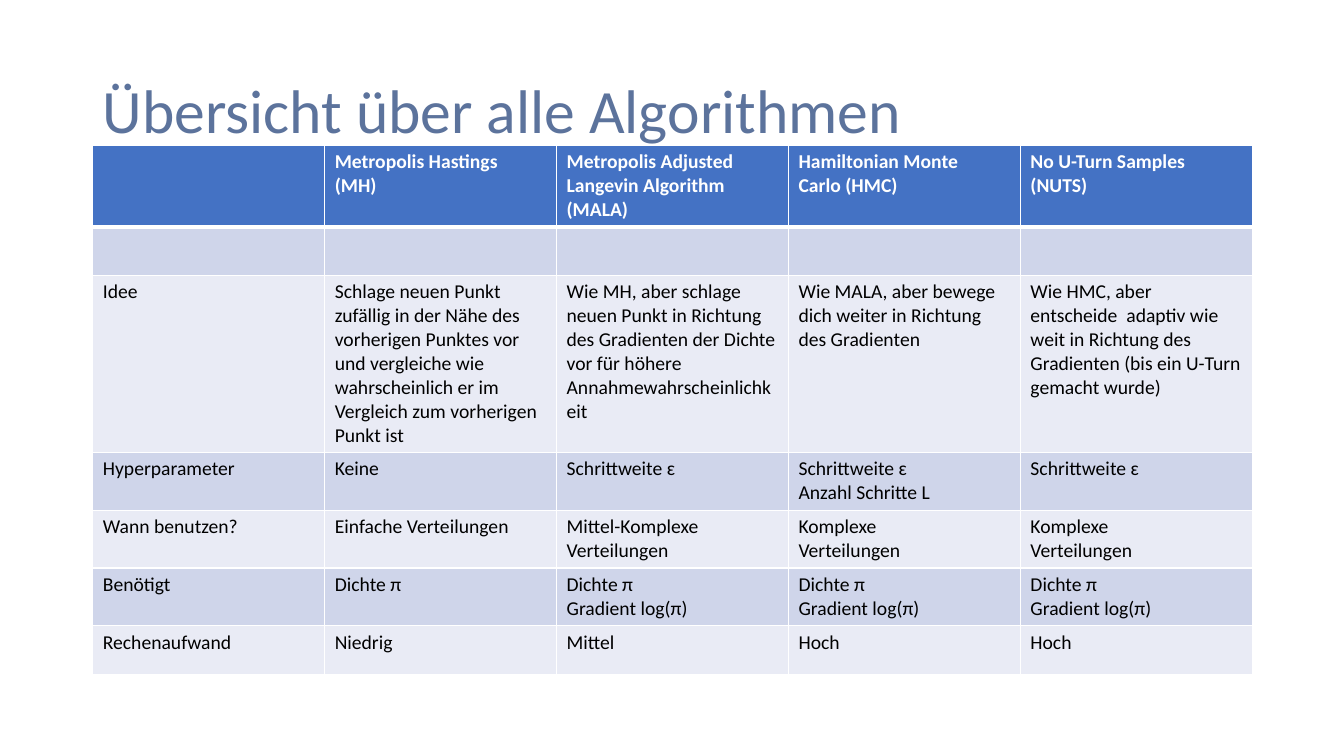
from dataclasses import dataclass

from lxml import etree
from pptx import Presentation
from pptx.dml.color import RGBColor
from pptx.enum.text import MSO_ANCHOR, MSO_AUTO_SIZE, PP_ALIGN
from pptx.oxml.ns import qn
from pptx.table import _Cell
from pptx.text.text import TextFrame
from pptx.util import Inches, Pt

LEFT = PP_ALIGN.LEFT
MIDDLE = MSO_ANCHOR.MIDDLE
NO_FIT = MSO_AUTO_SIZE.NONE

COLUMN, ROW = 2.3, 0.48
FONT = "Calibri"
HEADER_FILL, DARK_BAND, LIGHT_BAND = "4472C4", "CFD5EA", "E9EBF5"
WHITE, BLACK, TITLE_COLOUR = "FFFFFF", "000000", "5C739C"


@dataclass(frozen=True)
class Area:
    """A rectangle in grid columns and rows."""
    left: float
    top: float
    width: float
    height: float

    def lengths(self) -> tuple[int, int, int, int]:
        """Return the left, top, width and height as slide lengths."""
        return (Inches(self.left * COLUMN), Inches(self.top * ROW),
                Inches(self.width * COLUMN), Inches(self.height * ROW))


@dataclass(frozen=True)
class Criterion:
    """One table row: a label and an entry for each algorithm."""
    label: str
    entries: tuple[str, str, str, str]


TITLE_AREA = Area(0.4, 0.83, 5, 3.02)
TABLE_AREA = Area(0.4, 3, 5, 10.79)

CRITERIA = [
    Criterion("", ("Metropolis Hastings\v(MH)",
                   "Metropolis Adjusted\vLangevin Algorithm\v(MALA)",
                   "Hamiltonian Monte\vCarlo (HMC)",
                   "No U-Turn Samples\v(NUTS)")),
    Criterion("", ("", "", "", "")),
    Criterion("Idee", (
        "Schlage neuen Punkt zufällig in der Nähe des vorherigen Punktes vor und "
        "vergleiche wie wahrscheinlich er im Vergleich zum vorherigen Punkt ist",
        "Wie MH, aber schlage neuen Punkt in Richtung des Gradienten der Dichte "
        "vor für höhere Annahmewahrscheinlichkeit",
        "Wie MALA, aber bewege dich weiter in Richtung des Gradienten",
        "Wie HMC, aber entscheide  adaptiv wie weit in Richtung des Gradienten "
        "(bis ein U-Turn gemacht wurde)")),
    Criterion("Hyperparameter", ("Keine", "Schrittweite ɛ",
                                 "Schrittweite ɛ\vAnzahl Schritte L", "Schrittweite ɛ")),
    Criterion("Wann benutzen?", ("Einfache Verteilungen", "Mittel-Komplexe\vVerteilungen",
                                 "Komplexe\vVerteilungen", "Komplexe\vVerteilungen")),
    Criterion("Benötigt", ("Dichte π", "Dichte π\vGradient log(π)",
                           "Dichte π\nGradient log(π)", "Dichte π\nGradient log(π)")),
    Criterion("Rechenaufwand", ("Niedrig", "Mittel", "Hoch", "Hoch")),
]


def colour(code: str) -> RGBColor:
    """Turn a hex string into a colour."""
    return RGBColor.from_string(code)


def format_text(frame: TextFrame, size: float, code: str, bold: bool = False) -> None:
    """Format every run of a text frame."""
    for para in frame.paragraphs:
        for span in para.runs:
            span.font.name = FONT
            span.font.size = Pt(size)
            span.font.bold = bold
            span.font.color.rgb = colour(code)


def add_borders(cell: _Cell, row: int) -> None:
    """Draw white cell borders, with a thick rule below the header."""
    widths = {"a:lnL": 1, "a:lnR": 1, "a:lnT": 3 if row == 1 else 1,
              "a:lnB": 3 if row == 0 else 1}
    properties = cell._tc.get_or_add_tcPr()
    for position, (side, width) in enumerate(widths.items()):
        line = etree.Element(qn(side), w=str(Pt(width)))
        fill = etree.SubElement(line, qn("a:solidFill"))
        etree.SubElement(fill, qn("a:srgbClr"), val=WHITE)
        properties.insert(position, line)


def fill_cell(cell: _Cell, text: str, row: int) -> None:
    """Write and format one table cell."""
    header = row == 0
    band = DARK_BAND if row % 2 else LIGHT_BAND
    cell.fill.solid()
    cell.fill.fore_color.rgb = colour(HEADER_FILL if header else band)
    if text:
        cell.text_frame.text = text
        format_text(cell.text_frame, 14, WHITE if header else BLACK, header)
    add_borders(cell, row)


def main() -> None:
    """Build the overview slide."""
    deck = Presentation()
    deck.slide_width, deck.slide_height = Inches(13.33), Inches(7.5)
    page = deck.slides.add_slide(deck.slide_layouts[5])

    title = page.shapes.title
    title.left, title.top, title.width, title.height = TITLE_AREA.lengths()
    frame = title.text_frame
    frame.text = "Übersicht über alle Algorithmen"
    frame.vertical_anchor = MIDDLE
    frame.auto_size = NO_FIT
    frame.paragraphs[0].alignment = LEFT
    frame.paragraphs[0].line_spacing = 0.9
    format_text(frame, 44, TITLE_COLOUR)

    box = page.shapes.add_table(len(CRITERIA), 5, *TABLE_AREA.lengths())
    for row, criterion in enumerate(CRITERIA):
        box.table.rows[row].height = Inches(ROW)
        for column, text in enumerate((criterion.label, *criterion.entries)):
            fill_cell(box.table.cell(row, column), text, row)
    box.height = TABLE_AREA.lengths()[3]

    deck.save("out.pptx")


if __name__ == "__main__":
    main()
